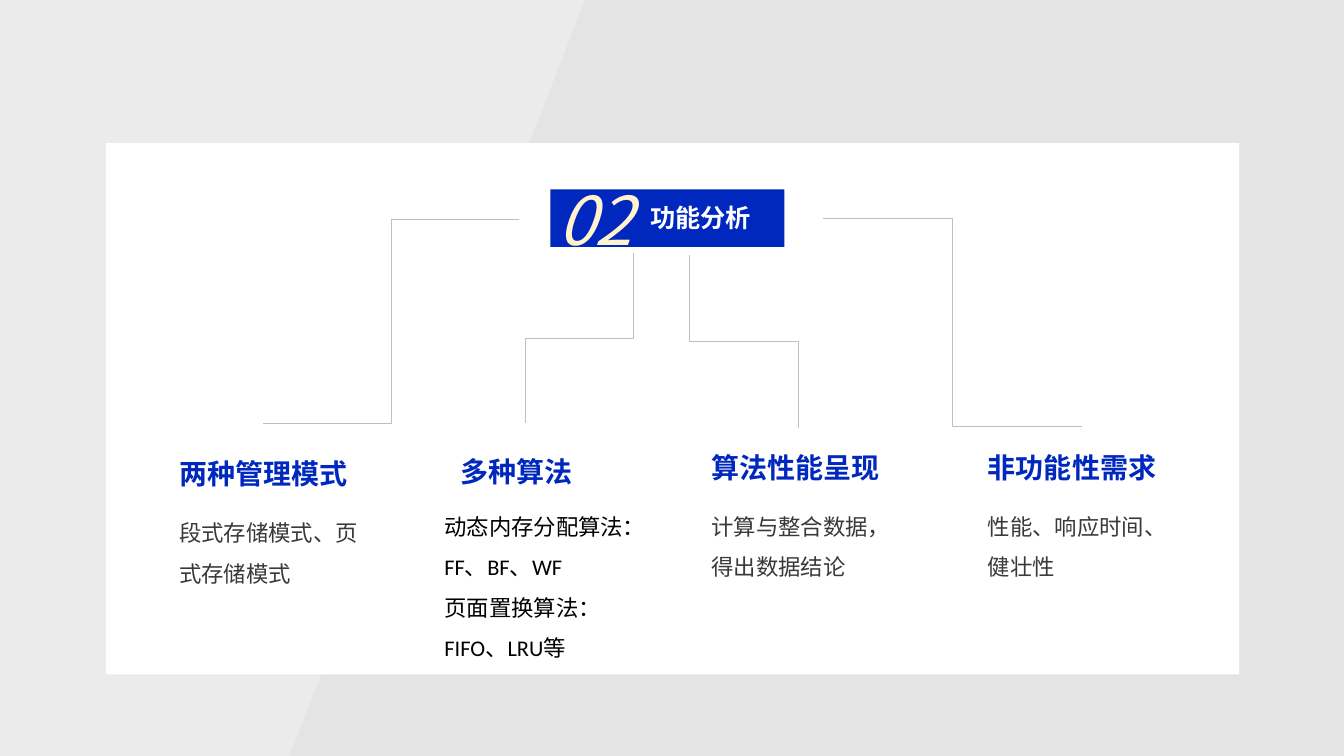
from lxml import etree
from pptx import Presentation
from pptx.dml.color import RGBColor
from pptx.enum import shapes, text
from pptx.oxml import ns
from pptx.util import Inches, Pt

SANS = "Noto Sans CJK SC"
LATIN = "Calibri"
BLUE = RGBColor(0x00, 0x28, 0xBE)
WHITE = RGBColor(0xFF, 0xFF, 0xFF)
BLACK = RGBColor(0, 0, 0)
CREAM = RGBColor(0xFF, 0xF2, 0xCC)
DARK = RGBColor(0x3B, 0x38, 0x38)
BACKDROP = RGBColor(0xE4, 0xE4, 0xE4)
SLANT = RGBColor(0xF1, 0xF1, 0xF1)
BRANCH = RGBColor(0xBF, 0xBF, 0xBF)

NUMBER, TITLE = "02", "功能分析"
COLUMNS = [
    {"heading": "两种管理模式", "at": (1.68, 4.48), "width": 1.97,
     "body": ["段式存储模式、页式存储模式"], "body_at": (1.68, 4.97),
     "font": SANS, "color": DARK},
    {"heading": "多种算法", "at": (4.47, 4.46), "width": 1.47,
     "body": ["动态内存分配算法：FF、BF、WF", "页面置换算法：FIFO、LRU等"],
     "body_at": (4.31, 4.91), "font": LATIN, "color": BLACK},
    {"heading": "算法性能呈现", "at": (6.96, 4.42), "width": 1.97,
     "body": ["计算与整合数据，得出数据结论"], "body_at": (6.96, 4.91),
     "font": SANS, "color": DARK},
    {"heading": "非功能性需求", "at": (9.7, 4.42), "width": 1.97,
     "body": ["性能、响应时间、健壮性"], "body_at": (9.7, 4.91),
     "font": SANS, "color": DARK},
]
SIDE_BRANCHES = [((5.15, 2.18), (2.61, 4.2)), ((8.16, 2.17), (10.73, 4.23))]
DOWN_BRANCHES = [((6.28, 2.51), (5.21, 4.2)), ((6.84, 2.53), (7.92, 4.25))]
SLANT_OUTLINE = [(5.81, -0.02), (2.87, 7.5), (-0.01, 7.5), (-0.01, -0.02)]

prs = Presentation()
prs.slide_width, prs.slide_height = Inches(13.33), Inches(7.5)
slide = prs.slides.add_slide(prs.slide_layouts[6])


def paint(shape, color):
    shape.shadow.inherit = False
    shape.fill.solid()
    shape.fill.fore_color.rgb = color
    shape.line.fill.background()


def add_panel(*box):
    return slide.shapes.add_shape(shapes.MSO_SHAPE.RECTANGLE, *map(Inches, box))


def add_text(lines, box, size, color, font=SANS, bold=False, italic=False,
             spacing=None, align=None):
    frame = slide.shapes.add_textbox(*map(Inches, box)).text_frame
    frame.word_wrap = True
    frame.auto_size = text.MSO_AUTO_SIZE.SHAPE_TO_FIT_TEXT
    frame.text = "\n".join(lines)
    for paragraph in frame.paragraphs:
        paragraph.line_spacing = spacing
        paragraph.alignment = align
        for run in paragraph.runs:
            run.font.size = Pt(size)
            run.font.name = font
            run.font.bold = bold
            run.font.italic = italic
            run.font.color.rgb = color
            east_asian = etree.SubElement(run.font._element, ns.qn("a:ea"))
            east_asian.set("typeface", SANS)


def add_branch(start, end, downward=False):
    if downward:
        dx, dy = end[0] - start[0], end[1] - start[1]
        cx, cy = start[0] + dx / 2, start[1] + dy / 2
        start = (cx - dy / 2, cy + dx / 2)
        end = (cx + dy / 2, cy - dx / 2)
    branch = slide.shapes.add_connector(
        shapes.MSO_CONNECTOR.ELBOW, *map(Inches, start + end))
    branch.line.color.rgb = BRANCH
    branch.line.width = Pt(0.5)
    properties = branch._element.spPr
    etree.SubElement(properties, ns.qn("a:effectLst"))
    if downward:
        properties.find(ns.qn("a:xfrm")).set("rot", str(90 * 60000))


slide.background.fill.solid()
slide.background.fill.fore_color.rgb = BACKDROP

outline = [(Inches(x), Inches(y)) for x, y in SLANT_OUTLINE]
builder = slide.shapes.build_freeform(*outline[0])
builder.add_line_segments(outline[1:], close=True)
slant = builder.convert_to_shape()
paint(slant, SLANT)
slant_color = slant._element.spPr.find(ns.qn("a:solidFill"))[0]
etree.SubElement(slant_color, ns.qn("a:alpha")).set("val", "54000")

paint(add_panel(1.05, 1.42, 11.24, 5.27), WHITE)
paint(add_panel(5.46, 1.88, 2.32, 0.57), BLUE)

for start, end in SIDE_BRANCHES:
    add_branch(start, end)
for start, end in DOWN_BRANCHES:
    add_branch(start, end, downward=True)

add_text([TITLE], (6.35, 1.96, 1.23, 0.4), 18, WHITE, bold=True)
add_text([NUMBER], (5.28, 1.72, 1.23, 0.91), 48, CREAM, italic=True,
         align=text.PP_ALIGN.CENTER)

for column in COLUMNS:
    add_text([column["heading"]], (*column["at"], column["width"], 0.44),
             20, BLUE, bold=True)
    body_height = 0.1 + 0.81 * len(column["body"])
    add_text(column["body"], (*column["body_at"], 1.97, body_height), 16,
             column["color"], font=column["font"], spacing=1.5)

prs.save("out.pptx")
